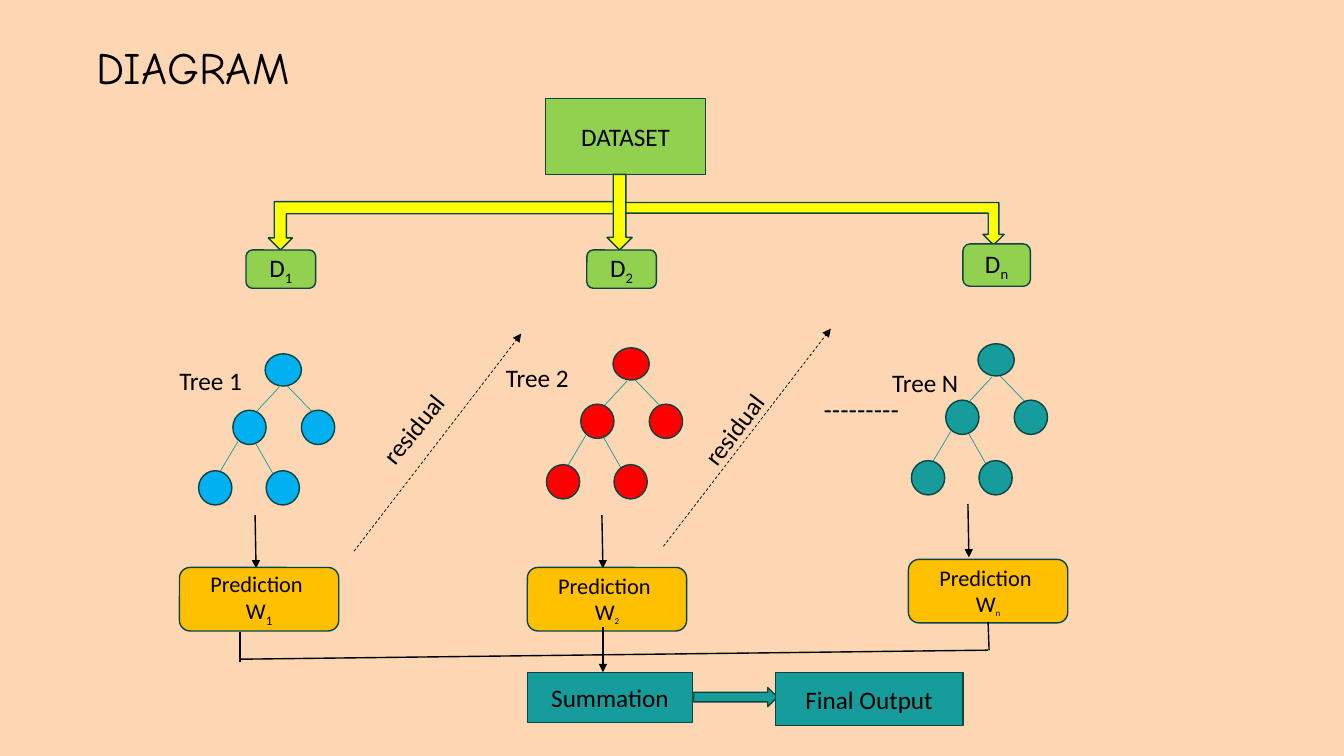
from pptx import Presentation
from pptx import util as u
from pptx.dml.color import RGBColor
from pptx.enum import dml, shapes, text
from pptx.oxml import ns
from lxml import etree

PEACH = RGBColor(0xFD, 0xD7, 0xB3)
GREEN = RGBColor(0x92, 0xD0, 0x50)
YELLOW = RGBColor(0xFF, 0xFF, 0x00)
AMBER = RGBColor(0xFF, 0xC0, 0x00)
BLUE = RGBColor(0x00, 0xB0, 0xF0)
RED = RGBColor(0xFF, 0x00, 0x00)
TEAL = RGBColor(0x16, 0x9C, 0x9A)
EDGE = RGBColor(0x0A, 0x44, 0x43)
BLACK = RGBColor(0, 0, 0)
KIND = shapes.MSO_SHAPE


def inch(*sizes):
    return [u.Inches(size) for size in sizes]


def style(run, size, face="Calibri"):
    run.font.size = u.Pt(size)
    run.font.name = face
    run.font.color.rgb = BLACK


def shape(slide, kind, box, fill):
    item = slide.shapes.add_shape(kind, *inch(*box))
    item.shadow.inherit = False
    item.fill.solid()
    item.fill.fore_color.rgb = fill
    item.line.color.rgb = EDGE
    item.line.width = u.Pt(1)
    return item


def block(slide, kind, box, fill, lines, size=18, sub="", small=18):
    frame = shape(slide, kind, box, fill).text_frame
    frame.text = "\n".join(lines)
    frame.vertical_anchor = text.MSO_ANCHOR.MIDDLE
    for para in frame.paragraphs:
        para.alignment = text.PP_ALIGN.CENTER
        style(para.runs[0], size)
    if sub:
        run = frame.paragraphs[-1].add_run()
        run.text = sub
        style(run, small)
        run._r.get_or_add_rPr().set("baseline", "-25000")


def label(slide, words, box, face="Calibri", turn=0):
    item = slide.shapes.add_textbox(*inch(*box))
    item.rotation = turn
    item.text_frame.word_wrap = True
    item.text_frame.text = words
    style(item.text_frame.paragraphs[0].runs[0], 18, face)


def line(slide, start, end, color=BLACK, width=1, head=False, dash=False):
    item = slide.shapes.add_connector(
        shapes.MSO_CONNECTOR.STRAIGHT, *inch(*start, *end))
    item.line.color.rgb = color
    item.line.width = u.Pt(width)
    if dash:
        item.line.dash_style = dml.MSO_LINE.DASH
    if head:
        tip = etree.SubElement(item.line._get_or_add_ln(), ns.qn("a:tailEnd"))
        tip.set("type", "triangle")
    etree.SubElement(item._element.spPr, ns.qn("a:effectLst"))


def title(slide, box):
    item = slide.shapes.title
    item.left, item.top, item.width, item.height = inch(*box)
    frame = item.text_frame
    frame.text = "DIAGRAM"
    frame.auto_size = text.MSO_AUTO_SIZE.NONE
    frame.vertical_anchor = text.MSO_ANCHOR.TOP
    frame.paragraphs[0].alignment = text.PP_ALIGN.LEFT
    style(frame.paragraphs[0].runs[0], 32, "Comic Neue")


def tree(slide, left, top, fill):
    limbs = [(0.22, 0.32, 0.5, 0.61), (0.14, 0.33, -0.12, 0.61),
             (-0.11, 0.86, 0.14, 1.3), (-0.27, 0.87, -0.52, 1.29)]
    for x1, y1, x2, y2 in limbs:
        line(slide, (left + x1, top + y1), (left + x2, top + y2), TEAL, 0.5)
    nodes = [(0, 0, 0.36, 0.32)]
    for x, y in [(-0.32, 0.56), (0.36, 0.56), (0.01, 1.16), (-0.66, 1.16)]:
        nodes.append((x, y, 0.33, 0.34))
    for x, y, wide, high in nodes:
        shape(slide, KIND.FLOWCHART_CONNECTOR,
              (left + x, top + y, wide, high), fill)


def data(slide, left, top):
    block(slide, KIND.RECTANGLE, (left, top, 1.59, 0.75), GREEN, ["DATASET"])
    west = shape(slide, KIND.BENT_UP_ARROW,
                 (left - 2.75, top + 1.02, 3.54, 0.48), YELLOW)
    west.rotation = 180
    east = shape(slide, KIND.BENT_UP_ARROW,
                 (left + 0.75, top + 1.03, 3.8, 0.42), YELLOW)
    east._element.spPr.xfrm.set("flipV", "1")
    shape(slide, KIND.DOWN_ARROW, (left + 0.61, top + 0.75, 0.25, 0.75), YELLOW)


def branch(slide, sub, name, fill, part, root, tag, arrow, guess, small):
    block(slide, KIND.ROUNDED_RECTANGLE, part, GREEN, ["D"], 18, sub)
    tree(slide, *root, fill)
    label(slide, name, (*tag, 1.14, 0.4))
    x, y = arrow
    line(slide, (x, y), (x + 0.01, y + 0.53), head=True)
    block(slide, KIND.ROUNDED_RECTANGLE, (*guess, 1.58, 0.63), AMBER,
          ["Prediction ", "W"], 16, sub, small)


def residual(slide, left, top, tag, turn):
    line(slide, (left, top + 2.16), (left + 1.66, top),
         width=0.5, head=True, dash=True)
    label(slide, "residual", (*tag, 1.78, 0.4), turn=turn)


def result(slide, left, top):
    mid = left + 0.75
    line(slide, (mid, top - 0.45), (mid, top), head=True)
    west, east = left - 2.85, left + 4.57
    line(slide, (west, top - 0.13), (east, top - 0.22))
    line(slide, (west, top - 0.4), (west, top - 0.1))
    line(slide, (east, top - 0.5), (east + 0.01, top - 0.22))
    block(slide, KIND.RECTANGLE, (left, top, 1.64, 0.5), TEAL, ["Summation"])
    shape(slide, KIND.RIGHT_ARROW, (left + 1.65, top + 0.15, 0.83, 0.19), TEAL)
    block(slide, KIND.RECTANGLE, (left + 2.46, top, 1.86, 0.53), TEAL,
          ["Final Output"])


def main():
    deck = Presentation()
    deck.slide_width, deck.slide_height = inch(13.33, 7.5)
    slide = deck.slides.add_slide(deck.slide_layouts[5])
    slide.background.fill.solid()
    slide.background.fill.fore_color.rgb = PEACH
    title(slide, (0.86, 0.34, 9.41, 0.64))
    data(slide, 5.41, 0.98)
    branch(slide, "1", "Tree 1", BLUE, (2.44, 2.48, 0.69, 0.38),
           (2.63, 3.51), (1.68, 3.58), (2.53, 5.11), (1.78, 5.63), 16)
    branch(slide, "2", "Tree 2", RED, (5.82, 2.48, 0.69, 0.38),
           (6.08, 3.45), (4.92, 3.55), (5.97, 5.11), (5.23, 5.63), 11)
    branch(slide, "n", "Tree N", TEAL, (9.55, 2.42, 0.67, 0.42),
           (9.7, 3.41), (8.75, 3.59), (9.6, 5), (9.01, 5.55), 11)
    label(slide, "---------", (8.07, 3.85, 1.6, 0.4), "Arial")
    residual(slide, 3.51, 3.31, (3.45, 3.75), 309)
    residual(slide, 6.58, 3.26, (6.62, 3.75), 307)
    result(slide, 5.23, 6.67)
    deck.save("out.pptx")


if __name__ == "__main__":
    main()
